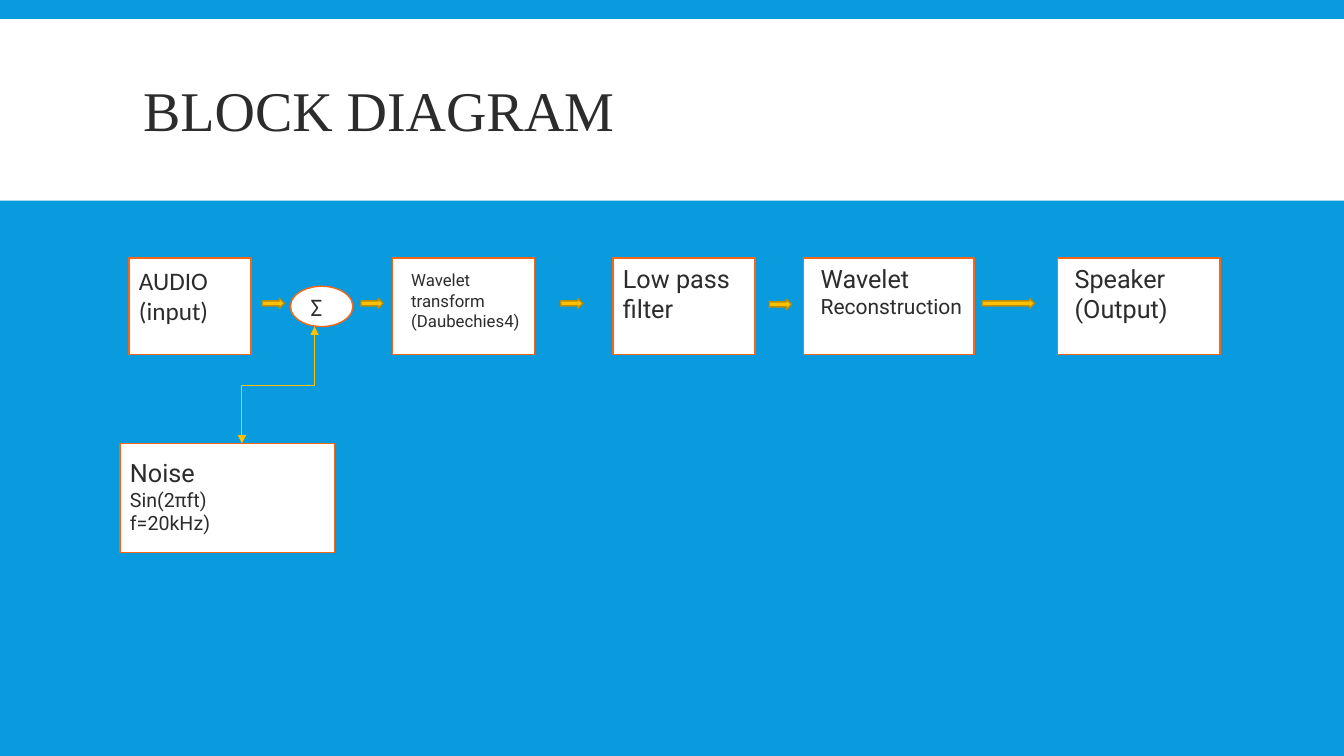
"""Build the block diagram slide of an audio denoising chain."""
from dataclasses import dataclass

from lxml.etree import SubElement
from pptx import Presentation
from pptx.dml.color import RGBColor
from pptx.enum.shapes import MSO_CONNECTOR, MSO_SHAPE
from pptx.enum.text import MSO_ANCHOR, MSO_AUTO_SIZE, PP_ALIGN
from pptx.oxml.ns import qn
from pptx.shapes.autoshape import Shape
from pptx.slide import Slide
from pptx.util import Inches, Pt

BLUE = RGBColor(0x09, 0x9B, 0xDD)
WHITE = RGBColor(0xFF, 0xFF, 0xFF)
INK = RGBColor(0x2C, 0x2C, 0x2C)
ORANGE = RGBColor(0xF5, 0x66, 0x17)
GOLD = RGBColor(0xFF, 0xC0, 0x00)
DARK_GOLD = RGBColor(0xBD, 0x8E, 0x00)

ROW_TOP, ROW_HEIGHT = 2.56, 0.96
ARROW_HEIGHT = 0.1


@dataclass(frozen=True)
class Area:
    left: float
    top: float
    width: float
    height: float

    def lengths(self) -> tuple[Inches, Inches, Inches, Inches]:
        return (Inches(self.left), Inches(self.top),
                Inches(self.width), Inches(self.height))


@dataclass(frozen=True)
class Line:
    text: str
    size: int = 18


@dataclass(frozen=True)
class Block:
    frame: Area
    label: Area
    lines: tuple[Line, ...]
    font: str = "Roboto"
    kind: MSO_SHAPE = MSO_SHAPE.RECTANGLE


@dataclass(frozen=True)
class Arrow:
    left: float
    width: float = 0.22
    top: float = 2.96


def row_frame(left: float, width: float) -> Area:
    return Area(left, ROW_TOP, width, ROW_HEIGHT)


SUM = Block(Area(2.88, 2.84, 0.62, 0.4), Area(3.08, 2.84, 0.09, 0.4),
            (Line("Σ"),), "Calibri", MSO_SHAPE.OVAL)
BLOCKS = (
    Block(row_frame(1.28, 1.21), Area(1.28, 2.58, 1.08, 0.71),
          (Line("AUDIO"), Line("(input)")), "Calibri"),
    Block(row_frame(3.89, 1.41), Area(3.98, 2.63, 1.41, 0.91),
          (Line("Wavelet transform", 12), Line("(Daubechies4)", 12))),
    Block(row_frame(6.08, 1.41), Area(6.08, 2.56, 1.41, 0.71),
          (Line("Low pass filter"),)),
    Block(row_frame(7.97, 1.69), Area(8.04, 2.56, 1.85, 0.91),
          (Line("Wavelet"), Line("Reconstruction", 15))),
    Block(row_frame(10.49, 1.61), Area(10.56, 2.56, 1.43, 1.01),
          (Line("Speaker"), Line("(Output)"))),
    Block(Area(1.19, 4.4, 2.13, 1.08), Area(1.19, 4.49, 1.89, 0.88),
          (Line("Noise"), Line("Sin(2πft)", 14), Line("f=20kHz)", 14))),
)
ARROWS = (Arrow(2.6), Arrow(3.58), Arrow(5.56), Arrow(7.63, top=2.97),
          Arrow(9.74, width=0.52))


def add_filled(slide: Slide, kind: MSO_SHAPE, area: Area, fill: RGBColor,
               outline: RGBColor | None = None) -> Shape:
    shape = slide.shapes.add_shape(kind, *area.lengths())
    shape.shadow.inherit = False
    shape.fill.solid()
    shape.fill.fore_color.rgb = fill
    if outline is None:
        shape.line.fill.background()
    else:
        shape.line.color.rgb = outline
        shape.line.width = Pt(1)
    return shape


def add_run(paragraph, text: str, size: int, font: str) -> None:
    run = paragraph.add_run()
    run.text = text
    run.font.size = Pt(size)
    run.font.name = font
    run.font.color.rgb = INK


def add_title(slide: Slide) -> None:
    band = add_filled(slide, MSO_SHAPE.RECTANGLE, Area(0, 0.19, 13.33, 1.8), WHITE)
    title = slide.shapes.title
    title.element.addprevious(band.element)
    title.left, title.top, title.width, title.height = Area(
        1.32, 0.31, 10.7, 1.65).lengths()
    frame = title.text_frame
    frame.auto_size = MSO_AUTO_SIZE.NONE
    frame.vertical_anchor = MSO_ANCHOR.MIDDLE
    heading = frame.paragraphs[0]
    heading.alignment = PP_ALIGN.LEFT
    heading.line_spacing = 0.85
    add_run(heading, "BLOCK DIAGRAM", 40, "Times New Roman")


def add_block(slide: Slide, block: Block) -> None:
    add_filled(slide, block.kind, block.frame, WHITE, ORANGE)
    frame = slide.shapes.add_textbox(*block.label.lengths()).text_frame
    frame.word_wrap = block is not SUM
    if block is SUM:
        frame.margin_left = frame.margin_right = 0
    for index, line in enumerate(block.lines):
        paragraph = frame.add_paragraph() if index else frame.paragraphs[0]
        add_run(paragraph, line.text, line.size, block.font)


def add_noise_link(slide: Slide) -> None:
    link = slide.shapes.add_connector(
        MSO_CONNECTOR.ELBOW, Inches(2.18), Inches(3.46), Inches(3.34), Inches(4.18))
    link.line.color.rgb = GOLD
    link.line.width = Pt(0.75)
    properties = link.element.spPr
    properties.find(qn("a:xfrm")).set("rot", str(90 * 60000))
    outline = properties.find(qn("a:ln"))
    for end in ("a:headEnd", "a:tailEnd"):
        SubElement(outline, qn(end), type="triangle")
    SubElement(properties, qn("a:effectLst"))


def main() -> None:
    deck = Presentation()
    deck.slide_width, deck.slide_height = Inches(13.33), Inches(7.5)
    slide = deck.slides.add_slide(deck.slide_layouts.get_by_name("Title Only"))
    slide.background.fill.solid()
    slide.background.fill.fore_color.rgb = BLUE
    add_title(slide)
    for block in (*BLOCKS, SUM):
        add_block(slide, block)
    for arrow in ARROWS:
        area = Area(arrow.left, arrow.top, arrow.width, ARROW_HEIGHT)
        add_filled(slide, MSO_SHAPE.RIGHT_ARROW, area, GOLD, DARK_GOLD)
    add_noise_link(slide)
    deck.save("out.pptx")


if __name__ == "__main__":
    main()
